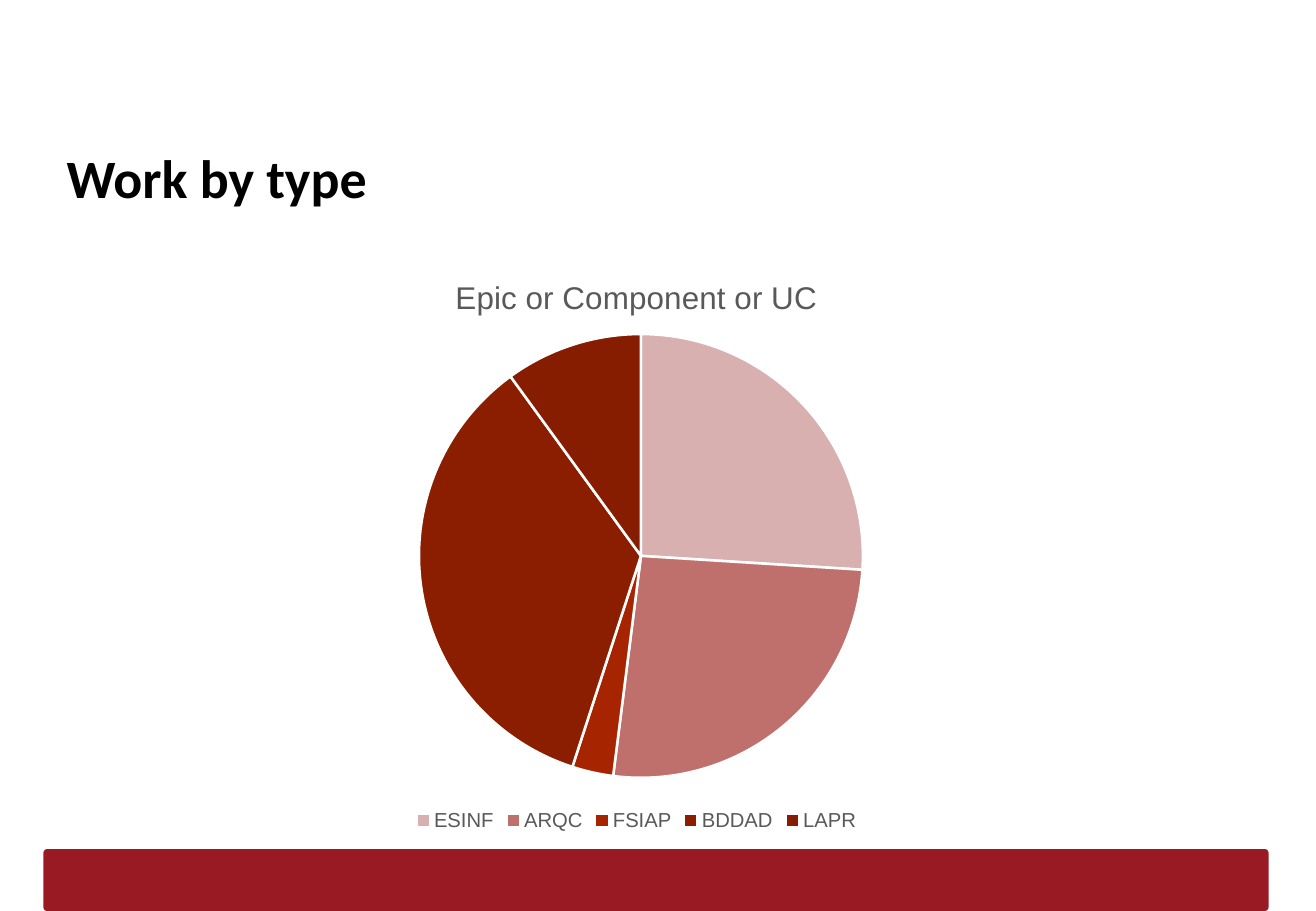
from dataclasses import dataclass

from lxml import etree
from pptx import Presentation, util as u
from pptx.chart.data import CategoryChartData
from pptx.dml.color import RGBColor
from pptx.enum import chart as kinds, shapes, text
from pptx.oxml import ns


@dataclass(frozen=True)
class Theme:
    font: str = "Arial"
    head: str = "Calibri"
    ink: str = "000000"
    grey: str = "595959"
    white: str = "FFFFFF"
    bar: str = "9A1A24"
    big: float = 32
    mid: float = 18.6
    small: float = 12
    edge: float = 1.5


THEME = Theme()
WIDE, HIGH = u.Inches(10.83), u.Inches(7.5)
COLS = ROWS = 100
WORK = [
    ("ESINF", 26, "D7B0AF"),
    ("ARQC", 26, "BF706C"),
    ("FSIAP", 3, "A72400"),
    ("BDDAD", 35, "8C1E00"),
    ("LAPR", 10, "871D00"),
]


def place(col, row, cols, rows):
    return (int(WIDE * col / COLS), int(HIGH * row / ROWS),
            int(WIDE * cols / COLS), int(HIGH * rows / ROWS))


def style(font, name, size, color, bold=False):
    font.name, font.size, font.bold = name, u.Pt(size), bold
    font.color.rgb = RGBColor.from_string(color)


def add_bar(slide, box):
    bar = slide.shapes.add_shape(shapes.MSO_SHAPE.ROUNDED_RECTANGLE, *box)
    bar.adjustments[0] = 0.06
    bar.shadow.inherit = False
    bar.fill.solid()
    bar.fill.fore_color.rgb = RGBColor.from_string(THEME.bar)
    bar.line.fill.background()


def add_title(slide, box, words):
    frame = slide.shapes.add_textbox(*box).text_frame
    frame.word_wrap = True
    frame.vertical_anchor = text.MSO_ANCHOR.TOP
    frame.margin_left = frame.margin_right = u.Inches(0.1)
    frame.margin_top = frame.margin_bottom = u.Inches(0.1)
    run = frame.paragraphs[0].add_run()
    run.text = words
    style(run.font, THEME.head, THEME.big, THEME.ink, True)


def set_plot(chart, x, y, w, h):
    area = chart.element.find(".//" + ns.qn("c:plotArea"))
    for old in area.findall(ns.qn("c:layout")):
        area.remove(old)
    layout = etree.Element(ns.qn("c:layout"))
    manual = etree.SubElement(layout, ns.qn("c:manualLayout"))
    parts = {"layoutTarget": "inner", "xMode": "edge", "yMode": "edge",
             "x": x, "y": y, "w": w, "h": h}
    for tag, val in parts.items():
        etree.SubElement(manual, ns.qn("c:" + tag)).set("val", str(val))
    area.insert(0, layout)


def add_pie(slide, box, words, work):
    data = CategoryChartData()
    data.categories = [name for name, _, _ in work]
    data.add_series("Series 1", [share for _, share, _ in work])
    chart = slide.shapes.add_chart(kinds.XL_CHART_TYPE.PIE, *box, data).chart
    style(chart.font, THEME.font, THEME.small, THEME.grey)

    chart.has_title = True
    run = chart.chart_title.text_frame.paragraphs[0].add_run()
    run.text = words
    style(run.font, THEME.font, THEME.mid, THEME.grey)
    chart.chart_title.include_in_layout = False

    chart.has_legend = True
    chart.legend.position = kinds.XL_LEGEND_POSITION.BOTTOM
    chart.legend.include_in_layout = False
    style(chart.legend.font, THEME.font, THEME.small, THEME.grey)

    plot = chart.plots[0]
    plot.vary_by_categories = True
    for i, (_, _, color) in enumerate(work):
        slice = plot.series[0].points[i].format
        slice.fill.solid()
        slice.fill.fore_color.rgb = RGBColor.from_string(color)
        slice.line.color.rgb = RGBColor.from_string(THEME.white)
        slice.line.width = u.Pt(THEME.edge)
    set_plot(chart, 0.25, 0.14, 0.51, 0.76)


def main():
    deck = Presentation()
    deck.slide_width, deck.slide_height = WIDE, HIGH
    slide = deck.slides.add_slide(deck.slide_layouts[6])
    add_bar(slide, place(3.3, 93.2, 93.1, 6.8))
    add_title(slide, place(4.15, 14.55, 91.3, 8.4), "Work by type")
    add_pie(slide, place(15.05, 27.7, 66.65, 64.1),
            "Epic or Component or UC", WORK)
    deck.save("out.pptx")


if __name__ == "__main__":
    main()
